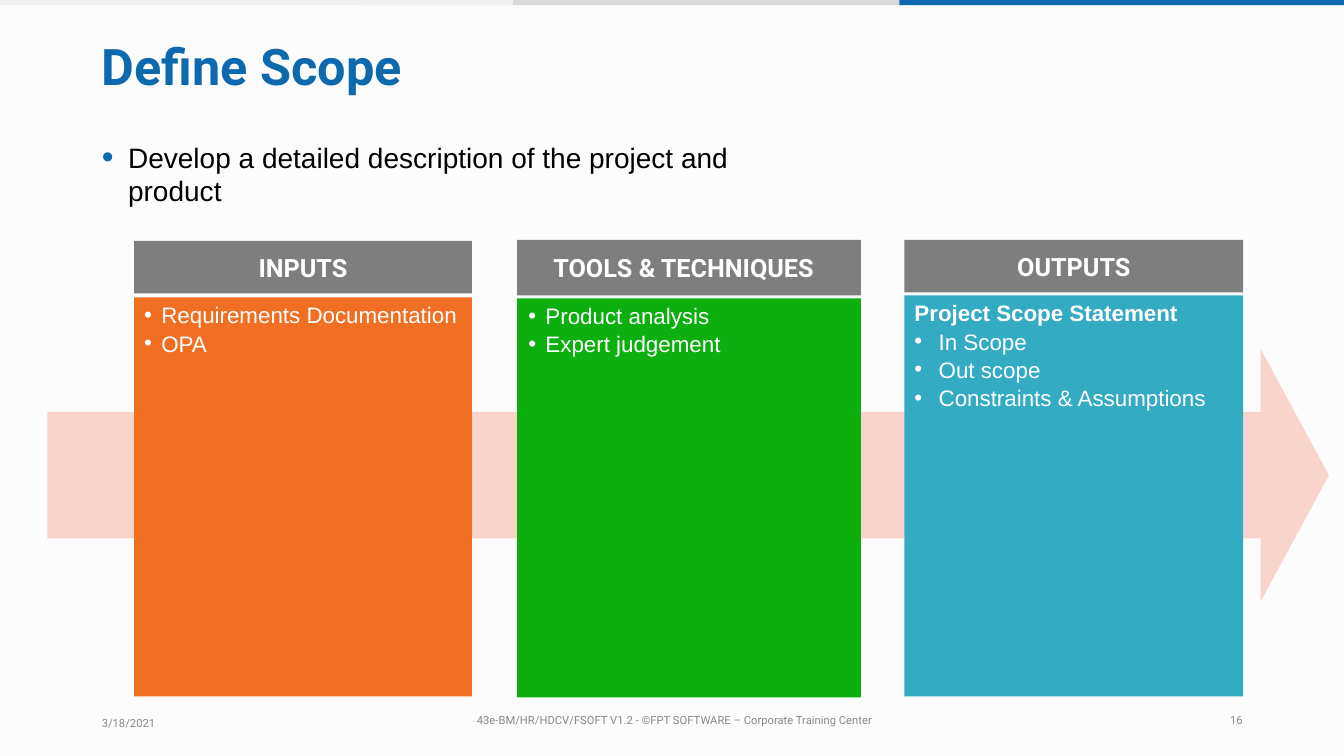
from lxml.etree import SubElement
from pptx import Presentation
from pptx.dml.color import RGBColor
from pptx.enum.shapes import MSO_SHAPE
from pptx.enum.text import MSO_ANCHOR, MSO_AUTO_SIZE, PP_ALIGN
from pptx.oxml.ns import qn
from pptx.util import Pt

PX = 9144  # EMU per px, 100 px to the inch
COLORS = {
    "page": "FCFCFC", "blue": "0D69AE", "silver": "D9D9D9", "mist": "F1F1F1",
    "pink": "F9D4CC", "orange": "F16F22", "green": "0DAF0E", "teal": "33ABC3",
    "gray": "7E7E7E", "footer": "888888", "white": "FFFFFF", "black": "000000",
}
TITLE = {"name": "Roboto", "size": Pt(36), "bold": True, "color": "blue"}
LEAD = {"name": "Arial", "size": Pt(20), "bold": False, "color": "black"}
HEADER = {"name": "Roboto", "size": Pt(18), "bold": True, "color": "white"}
ITEM = {"name": "Arial", "size": Pt(16), "bold": False, "color": "white"}
LABEL = ITEM | {"bold": True}
FOOTER = {"name": "Roboto", "size": Pt(8), "bold": False, "color": "footer"}

STRIPES = [(364, 537, "silver"), (0, 509, "mist"), (892, 441, "blue")]
# left, width, header top, header height, header insets, body top, body height,
# fill, header, label, bullet indent, hanging, items
COLUMNS = [
    (133, 335, 239, 52, (0, 11, 0, 0), 295, 396, "orange", "INPUTS", None,
     27, 17, ["Requirements Documentation", "OPA"]),
    (513, 341, 238, 55, (0, 12, 11, 0), 296, 396, "green", "TOOLS & TECHNIQUES", None,
     28, 17, ["Product analysis", "Expert judgement"]),
    (897, 336, 238, 52, (0, 11, 0, 0), 293, 398, "teal", "OUTPUTS",
     "Project Scope Statement",
     34, 24, ["In Scope", "Out scope", "Constraints & Assumptions"]),
]
FOOTERS = [
    (101, 709, 60, "3/18/2021"),
    (473, 706, 420, "43e-BM/HR/HDCV/FSOFT V1.2 - ©FPT SOFTWARE – Corporate Training Center"),
    (1220, 706, 22, "16"),
]


def rgb(name):
    return RGBColor.from_string(COLORS[name])


def set_frame(shape, insets):
    tf = shape.text_frame
    names = ("margin_left", "margin_top", "margin_right", "margin_bottom")
    frame = dict(zip(names, (v * PX for v in insets)))
    frame |= {"word_wrap": True, "auto_size": MSO_AUTO_SIZE.NONE,
              "vertical_anchor": MSO_ANCHOR.TOP}
    for key, value in frame.items():
        setattr(tf, key, value)
    return tf


def set_indent(p, left, hanging=0):
    pPr = p._p.get_or_add_pPr()
    pPr.set("marL", str(left * PX))
    pPr.set("indent", str(-hanging * PX))
    return pPr


def set_bullet(p, left, hanging, color=None, percent=100):
    pPr = set_indent(p, left, hanging)
    if color:
        SubElement(SubElement(pPr, qn("a:buClr")), qn("a:srgbClr"), val=COLORS[color])
    SubElement(pPr, qn("a:buSzPct"), val=str(percent * 1000))
    SubElement(pPr, qn("a:buFont"), typeface="Arial")
    SubElement(pPr, qn("a:buChar"), char="•")


def write(p, text, style, align=PP_ALIGN.LEFT):
    p.alignment = align
    r = p.add_run()
    r.text = text
    for key, value in style.items():
        if key == "color":
            r.font.color.rgb = rgb(value)
        else:
            setattr(r.font, key, value)


def add_block(s, kind, x, y, w, h, fill):
    sp = s.shapes.add_shape(kind, *(v * PX for v in (x, y, w, h)))
    sp.shadow.inherit = False
    sp.fill.solid()
    sp.fill.fore_color.rgb = rgb(fill)
    sp.line.fill.background()
    return sp


def add_text(s, x, y, w, h, text, style):
    """Add a one-paragraph text box and return its paragraph."""
    box = s.shapes.add_textbox(*(v * PX for v in (x, y, w, h)))
    p = set_frame(box, (0, 2, 0, 0)).paragraphs[0]
    write(p, text, style)
    return p


def add_title(s, text):
    title = s.shapes.title
    place = {"left": 100, "top": 34, "width": 711, "height": 63}
    for key, value in place.items():
        setattr(title, key, value * PX)
    p = set_frame(title, (1, 1, 0, 0)).paragraphs[0]
    write(p, text, TITLE)


def add_column(s, x, w, head_y, head_h, head_insets, body_y, body_h,
               fill, header, label, left, hanging, items):
    body = add_block(s, MSO_SHAPE.RECTANGLE, x, body_y, w, body_h, fill)
    tf = set_frame(body, (0, 4, 0, 0))
    lines = ([label] if label else []) + items
    for i, text in enumerate(lines):
        p = tf.add_paragraph() if i else tf.paragraphs[0]
        if text == label:
            set_indent(p, 10)
        else:
            set_bullet(p, left, hanging)
        if i:
            p.space_before = Pt(1)
        write(p, text, LABEL if text == label else ITEM)

    head = add_block(s, MSO_SHAPE.RECTANGLE, x, head_y, w, head_h, "gray")
    p = set_frame(head, head_insets).paragraphs[0]
    write(p, header, HEADER, PP_ALIGN.CENTER)


def main():
    prs = Presentation()
    prs.slide_width, prs.slide_height = 1333 * PX, 750 * PX
    s = prs.slides.add_slide(prs.slide_layouts[5])
    s.background.fill.solid()
    s.background.fill.fore_color.rgb = rgb("page")

    for x, w, fill in STRIPES:
        add_block(s, MSO_SHAPE.RECTANGLE, x, 0, w, 5, fill)
    arrow = add_block(s, MSO_SHAPE.RIGHT_ARROW, 47, 346, 1271, 251, "pink")
    arrow.adjustments[0], arrow.adjustments[1] = 0.5, 0.27

    add_title(s, "Define Scope")
    lead = add_text(s, 100, 137, 715, 72,
                    "Develop a detailed description of the project and product", LEAD)
    set_bullet(lead, 27, 26, "blue", 120)
    for column in COLUMNS:
        add_column(s, *column)
    for x, y, w, text in FOOTERS:
        add_text(s, x, y, w, 17, text, FOOTER)
    prs.save("out.pptx")


if __name__ == "__main__":
    main()
